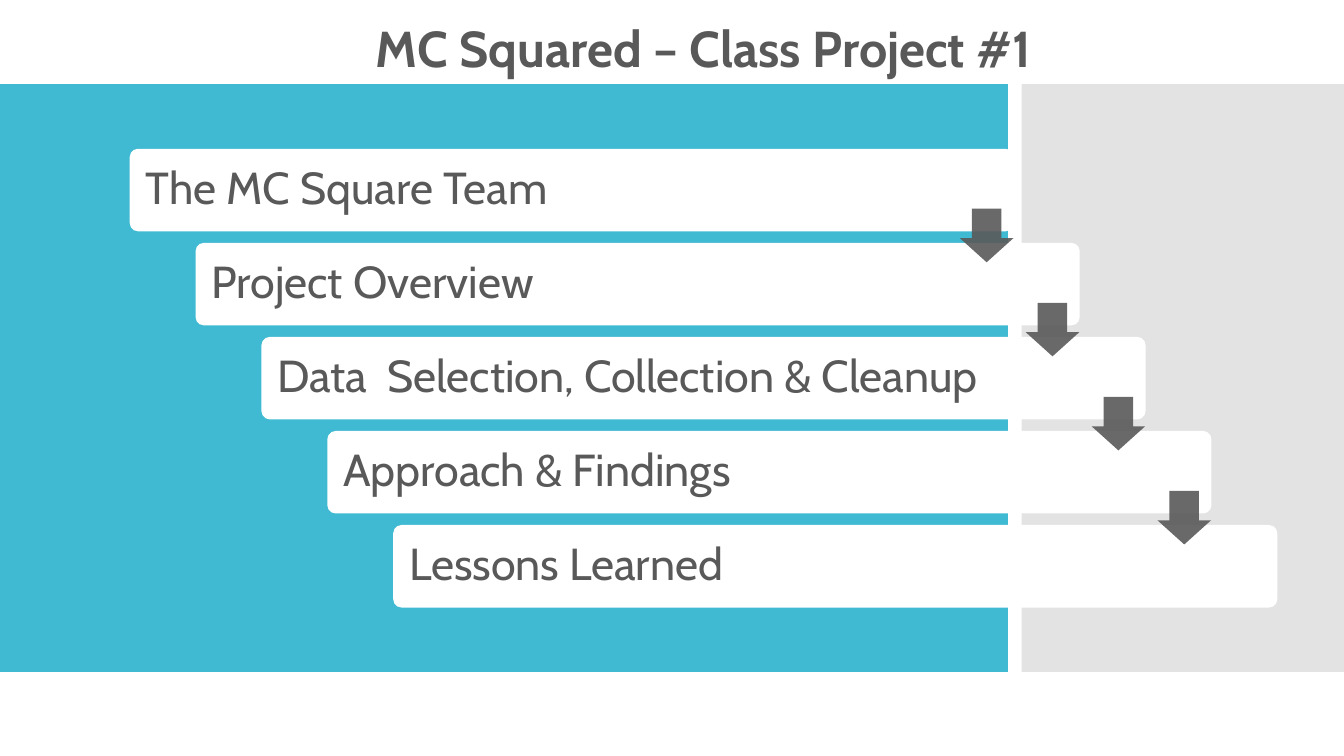
from dataclasses import dataclass

from lxml import etree
from pptx import Presentation
from pptx import util as u
from pptx.dml.color import RGBColor
from pptx.enum import shapes, text
from pptx.oxml import ns
from pptx.shapes.autoshape import Shape
from pptx.slide import Slide

COLORS = {"teal": "40BAD2", "gray": "C8C8C8", "white": "FFFFFF", "ink": "595959"}
FONT = "Cabin"
STEP_X, STEP_Y = 1.66, 2.37
BAR_INSET = 0.06


@dataclass(frozen=True)
class Box:
    """A rectangle in centimetres."""
    left: float
    top: float
    width: float
    height: float

    def stepped(self, index: int) -> "Box":
        """Return this box moved down the staircase by index steps."""
        return Box(self.left + index * STEP_X, self.top + index * STEP_Y,
                   self.width, self.height)

    def lengths(self) -> tuple[u.Length, ...]:
        return tuple(u.Cm(n) for n in (self.left, self.top, self.width, self.height))


@dataclass(frozen=True)
class Topic:
    label: str
    label_width: float = 19.13


TOPICS = (
    Topic("The MC Square Team", 19.79),
    Topic("Project Overview"),
    Topic("Data  Selection, Collection & Cleanup"),
    Topic("Approach & Findings"),
    Topic("Lessons Learned"),
)
TITLE = Box(8.33, 0.3, 18.8, 1.8)
MAIN_PANEL = Box(0, 2.12, 25.4, 14.81)
SIDE_PANEL = Box(25.75, 2.12, 8.12, 14.81)
FIRST_BAR = Box(3.27, 3.75, 22.28, 2.08)
FIRST_ARROW = Box(24.19, 5.26, 1.35, 1.35)


def add_filled(slide: Slide, kind: shapes.MSO_SHAPE, box: Box, color: str,
               opacity: int = 100, adjustments: tuple[float, ...] = ()) -> Shape:
    """Add a borderless shape; opacity is a percentage."""
    shape = slide.shapes.add_shape(kind, *box.lengths())
    shape.shadow.inherit = False
    shape.line.fill.background()
    shape.fill.solid()
    shape.fill.fore_color.rgb = RGBColor.from_string(COLORS[color])
    for index, value in enumerate(adjustments):
        shape.adjustments[index] = value
    if opacity < 100:
        fill_color = shape.fill._xPr.find(ns.qn("a:solidFill"))[0]
        etree.SubElement(fill_color, ns.qn("a:alpha"), val=str(opacity * 1000))
    return shape


def add_text(slide: Slide, box: Box, words: str, *, size: int, bold: bool = False,
             align: text.PP_ALIGN = text.PP_ALIGN.LEFT,
             anchor: text.MSO_ANCHOR = text.MSO_ANCHOR.TOP,
             inset: float | None = None, line_spacing: float = 1.0) -> None:
    frame = slide.shapes.add_textbox(*box.lengths()).text_frame
    frame.word_wrap = True
    frame.vertical_anchor = anchor
    if inset is not None:
        frame.margin_left = frame.margin_right = u.Cm(inset)
        frame.margin_top = frame.margin_bottom = u.Cm(inset)
    paragraph = frame.paragraphs[0]
    paragraph.alignment = align
    paragraph.line_spacing = line_spacing
    run = paragraph.add_run()
    run.text = words
    run.font.name = FONT
    run.font.size = u.Pt(size)
    run.font.bold = bold
    run.font.color.rgb = RGBColor.from_string(COLORS["ink"])


def add_topic(slide: Slide, index: int, topic: Topic) -> None:
    bar = FIRST_BAR.stepped(index)
    add_filled(slide, shapes.MSO_SHAPE.ROUNDED_RECTANGLE, bar, "white",
               adjustments=(0.1,))
    label = Box(bar.left + BAR_INSET, bar.top + BAR_INSET,
                topic.label_width, bar.height - 2 * BAR_INSET)
    add_text(slide, label, topic.label, size=32, anchor=text.MSO_ANCHOR.MIDDLE,
             inset=0.34, line_spacing=0.9)


def main() -> None:
    deck = Presentation()
    deck.slide_width, deck.slide_height = u.Cm(33.87), u.Cm(19.05)
    slide = deck.slides.add_slide(deck.slide_layouts[6])

    add_filled(slide, shapes.MSO_SHAPE.RECTANGLE, MAIN_PANEL, "teal")
    add_filled(slide, shapes.MSO_SHAPE.RECTANGLE, SIDE_PANEL, "gray", opacity=50)
    for index, topic in enumerate(TOPICS):
        add_topic(slide, index, topic)
    for index in range(len(TOPICS) - 1):
        add_filled(slide, shapes.MSO_SHAPE.DOWN_ARROW, FIRST_ARROW.stepped(index),
                   "ink", opacity=90, adjustments=(0.55, 0.45))
    add_text(slide, TITLE, "MC Squared – Class Project #1", size=36, bold=True,
             align=text.PP_ALIGN.CENTER)

    deck.save("out.pptx")


if __name__ == "__main__":
    main()
